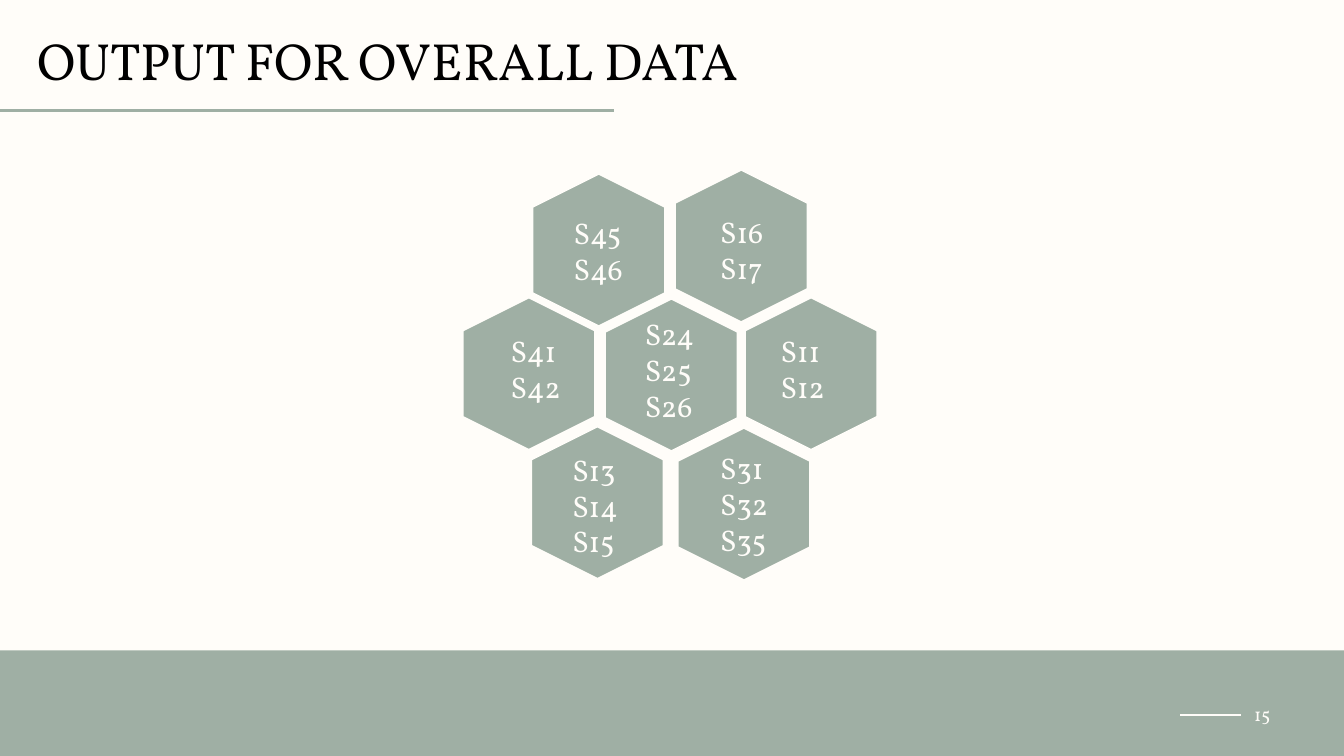
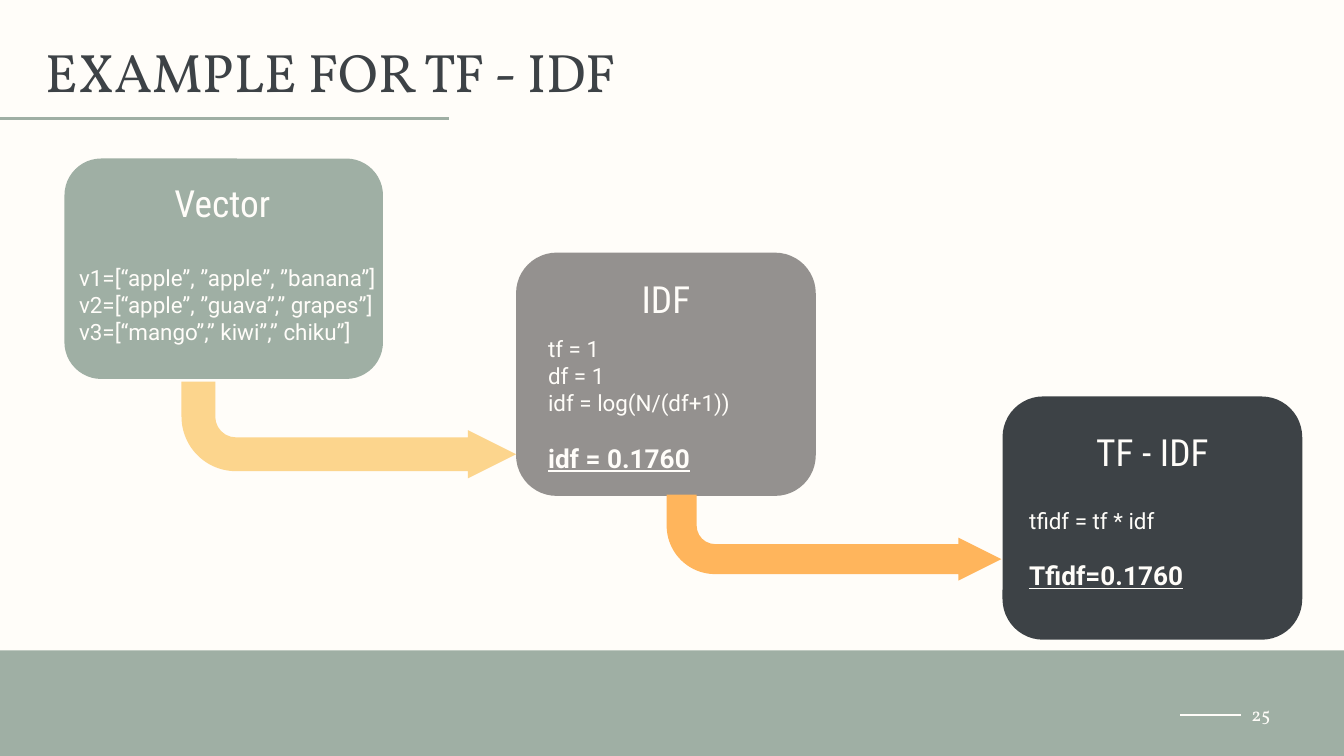
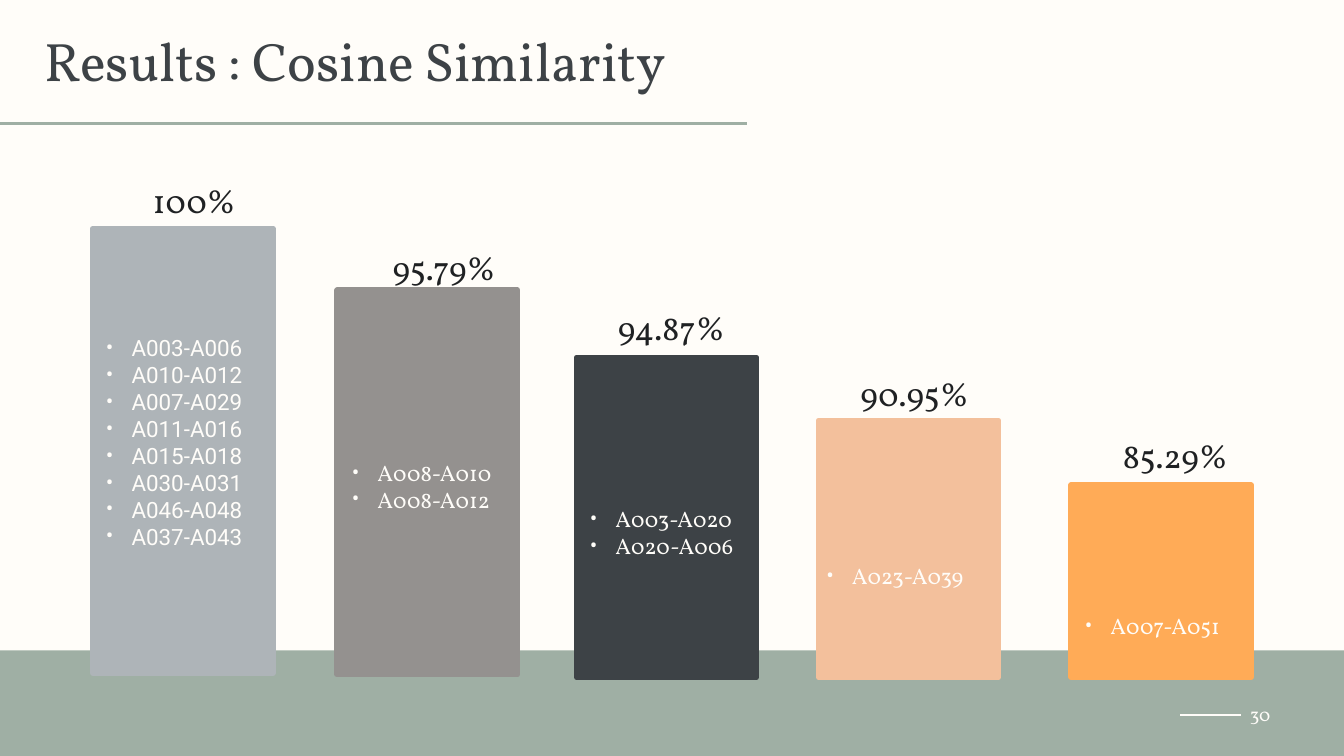
from dataclasses import dataclass

from lxml.etree import SubElement
from pptx import Presentation
from pptx.dml.color import RGBColor
from pptx.enum.shapes import MSO_CONNECTOR, MSO_SHAPE as Shape
from pptx.enum.text import MSO_ANCHOR as Anchor, MSO_AUTO_SIZE as AutoSize, PP_ALIGN as Align
from pptx.oxml.ns import qn
from pptx.util import Inches, Pt


@dataclass(frozen=True)
class Theme:
    paper: str = "FFFDF9"
    sage: str = "9FAFA4"
    taupe: str = "94918F"
    slate: str = "3D4246"
    mist: str = "AEB4B8"
    peach: str = "F3C09C"
    orange: str = "FFAB57"
    yellow: str = "FCD58D"
    amber: str = "FFB55C"
    ink: str = "1F2123"
    black: str = "000000"
    serif: str = "Vollkorn"
    sans: str = "Roboto"
    narrow: str = "Roboto Condensed"
    title: int = 29
    wide_title: int = 28
    heading: int = 20
    percent: int = 18
    label: int = 16
    result: int = 14
    body: int = 12
    page: int = 10


T = Theme()
RESULT = {"size": Pt(T.result), "bold": True, "underline": True}


def rgb(value):
    return RGBColor.from_string(value)


def add_bullet(p):
    pPr = p._p.get_or_add_pPr()
    pPr.set("marL", str(Inches(0.19)))
    pPr.set("indent", str(-Inches(0.19)))
    SubElement(SubElement(pPr, qn("a:buClr")), qn("a:srgbClr")).set("val", T.paper)
    SubElement(pPr, qn("a:buFont")).set("typeface", T.sans)
    SubElement(pPr, qn("a:buChar")).set("char", "•")


def write(tf, lines, font, size, color=T.paper, align=Align.LEFT, anchor=Anchor.MIDDLE,
          pad=0.1, bullet=False, auto_size=AutoSize.NONE):
    """Fill a frame; a line that is a result is set apart in bold underline."""
    frame = {"word_wrap": True, "auto_size": auto_size, "vertical_anchor": anchor,
             "margin_left": Inches(0.1), "margin_right": Inches(0.1),
             "margin_top": Inches(pad), "margin_bottom": Inches(pad)}
    for name, value in frame.items():
        setattr(tf, name, value)
    for i, line in enumerate(lines):
        text, extra = line if isinstance(line, tuple) else (line, {})
        p = tf.add_paragraph() if i else tf.paragraphs[0]
        if bullet:
            add_bullet(p)
        p.alignment = align
        if extra:
            p.space_before = Pt(T.result)
        r = p.add_run()
        r.text = text
        for name, value in {"name": font, "size": Pt(size), **extra}.items():
            setattr(r.font, name, value)
        r.font.color.rgb = rgb(color)


def add_text(slide, box, lines, font, size, **style):
    sp = slide.shapes.add_textbox(*map(Inches, box))
    write(sp.text_frame, lines, font, size, **style)


def add_block(slide, kind, box, fill, line=None, width=0, adjust=()):
    sp = slide.shapes.add_shape(kind, *map(Inches, box))
    sp.shadow.inherit = False
    sp.fill.solid()
    sp.fill.fore_color.rgb = rgb(fill)
    if line:
        sp.line.color.rgb = rgb(line)
        sp.line.width = Pt(width)
    else:
        sp.line.fill.background()
    for i, value in enumerate(adjust):
        sp.adjustments[i] = value
    return sp


def add_rule(slide, left, right, y, color, width):
    cxn = slide.shapes.add_connector(MSO_CONNECTOR.STRAIGHT, Inches(left), Inches(y),
                                     Inches(right), Inches(y))
    cxn.line.color.rgb = rgb(color)
    cxn.line.width = Pt(width)
    SubElement(cxn._element.spPr, qn("a:effectLst"))


def add_footer(slide, page, left=-0.04, top=4.84):
    add_block(slide, Shape.RECTANGLE, (left, top, 10.08, 0.8), T.sage)
    add_text(slide, (left + 8.99, top + 0.29, 0.6, 0.37), [page], T.serif, T.page,
             align=Align.RIGHT, anchor=Anchor.TOP)
    add_rule(slide, left + 8.82, left + 9.27, top + 0.48, T.paper, 0.75)


def new_slide(prs, page, title, box, rule_end, rule_y, size=T.title, color=T.slate):
    slide = prs.slides.add_slide(prs.slide_layouts[5])
    add_footer(slide, page)
    sp = slide.shapes.title
    sp.left, sp.top, sp.width, sp.height = map(Inches, box)
    write(sp.text_frame, [title], T.serif, size, color=color, pad=0.05)
    add_rule(slide, 0, rule_end, rule_y, T.sage, 1.5)
    return slide


def add_honeycomb(slide, left, top, cells):
    """Draw the upright hexagons, then their labels, from the comb's corner."""
    for x, y, *_ in cells:
        sp = add_block(slide, Shape.HEXAGON, (left + x, top + y, 1.15, 1), T.sage,
                       T.paper, 2, (0.25, 1.155))
        sp.rotation = 90
    for x, y, dx, dy, width, names in cells:
        box = (left + x + dx, top + y + dy, width, 0.1 + 0.27 * len(names))
        add_text(slide, box, names, T.serif, T.label, anchor=Anchor.TOP, pad=0.05,
                 auto_size=AutoSize.SHAPE_TO_FIT_TEXT)


def add_card(slide, box, fill, heading, heading_box, lines, lines_box):
    """Draw a rounded card; the text boxes are measured from its corner."""
    left, top = box[:2]
    add_block(slide, Shape.ROUNDED_RECTANGLE, box, fill, adjust=(0.167,))
    x, y, *size = heading_box
    add_text(slide, (left + x, top + y, *size), [heading], T.narrow, T.heading,
             align=Align.CENTER)
    x, y, *size = lines_box
    add_text(slide, (left + x, top + y, *size), lines, T.sans, T.body)


def add_bent_arrow(slide, box, fill):
    sp = add_block(slide, Shape.BENT_ARROW, box, fill, adjust=(0.349, 0.25, 0.5, 0.563))
    sp.rotation = 180
    sp._element.spPr.get_or_add_xfrm().set("flipH", "1")


def add_bar(slide, box, fill, percent, percent_at, pairs, pairs_at, kind=Shape.RECTANGLE,
            font=T.serif, align=Align.JUSTIFY):
    """Draw a bar; percent_at and pairs_at are x, y, height from its corner."""
    left, top = box[:2]
    add_block(slide, kind, box, fill, fill, 3)
    x, y, height = percent_at
    add_text(slide, (left + x, top + y, 1.51, height), [percent], T.serif, T.percent,
             color=T.ink, align=Align.CENTER)
    x, y, height = pairs_at
    add_text(slide, (left + x, top + y, 1.51, height), pairs, font, T.body,
             align=align, bullet=True)


def build_clusters(prs):
    slide = new_slide(prs, "15", "OUTPUT FOR OVERALL DATA", (0.18, 0.16, 6.19, 0.57),
                      4.57, 0.82, size=T.wide_title, color=T.black)
    add_honeycomb(slide, 3.36, 1.33, [
        (1.6, 1.92, 0.3, 0.05, 1.72, ["S31", "S32", "S35"]),
        (0.51, 1.91, 0.29, 0.07, 0.64, ["S13", "S14", "S15"]),
        (0, 0.95, 0.34, 0.15, 0.68, ["S41", "S42"]),
        (2.1, 0.95, 0.25, 0.15, 1.72, ["S11", "S12"]),
        (1.06, 0.96, 0.28, 0.01, 0.67, ["S24", "S25", "S26"]),
        (0.52, 0.03, 0.29, 0.19, 0.72, ["S45", "S46"]),
        (1.58, 0, 0.32, 0.21, 1.72, ["S16", "S17"]),
    ])


def build_tfidf(prs):
    slide = new_slide(prs, "25", "EXAMPLE FOR TF - IDF", (0.24, 0.21, 8.43, 0.63), 3.34, 0.88)
    add_card(slide, (0.48, 1.18, 2.37, 1.64), T.sage, "Vector", (0.14, 0.23, 2.07, 0.19),
             ["v1=[“apple”, ”apple”, ”banana”]",
              "v2=[“apple”, ”guava”,” grapes”]",
              "v3=[“mango”,” kiwi”,” chiku”]"], (0.01, 0.77, 2.51, 0.63))
    add_card(slide, (3.84, 1.88, 2.23, 1.81), T.taupe, "IDF", (0.37, 0.12, 1.49, 0.44),
             ["tf = 1", "df = 1", "idf = log(N/(df+1))", ("idf = 0.1760", RESULT)],
             (0.14, 0.58, 2.07, 1.1))
    add_card(slide, (7.46, 2.95, 2.23, 1.81), T.slate, "TF - IDF", (0.08, 0.31, 2.07, 0.2),
             ["tfidf = tf * idf", ("Tfidf=0.1760", RESULT)], (0.1, 0.8, 2.07, 0.67))
    add_bent_arrow(slide, (1.35, 2.84, 2.49, 0.72), T.yellow)
    add_bent_arrow(slide, (4.96, 3.68, 2.49, 0.64), T.amber)


def build_similarity(prs):
    slide = new_slide(prs, "30", "Results : Cosine Similarity", (0.23, 0.13, 8.43, 0.63),
                      5.56, 0.92)
    add_bar(slide, (0.69, 1.7, 1.34, 3.31), T.mist, "100%", (0, -0.31, 0.19),
            ["A003-A006", "A010-A012", "A007-A029", "A011-A016",
             "A015-A018", "A030-A031", "A046-A048", "A037-A043"], (0, 0.07, 3.04),
            font=T.sans)
    add_bar(slide, (2.51, 2.16, 1.34, 2.86), T.taupe, "95.79%", (0.04, -0.27, 0.19),
            ["A008-A010", "A008-A012"], (0.01, 0.5, 1.91))
    add_bar(slide, (4.29, 2.66, 1.34, 2.38), T.slate, "94.87%", (-0.05, -0.38, 0.31),
            ["A003-A020", "A020-A006"], (0, 0.9, 0.8))
    add_bar(slide, (6.09, 3.13, 1.34, 1.91), T.peach, "90.95%", (-0.04, -0.36, 0.31),
            ["A023-A039"], (-0.04, 0.93, 0.45))
    add_bar(slide, (7.97, 3.61, 1.34, 1.43), T.orange, "85.29%", (0.02, -0.32, 0.19),
            ["A007-A051"], (-0.15, 0.82, 0.45), kind=Shape.FLOWCHART_PROCESS,
            align=Align.CENTER)


def main():
    prs = Presentation()
    prs.slide_width = Inches(10)
    prs.slide_height = prs.slide_width * 9 // 16
    fill = prs.slide_master.background.fill
    fill.solid()
    fill.fore_color.rgb = rgb(T.paper)
    for build in (build_clusters, build_tfidf, build_similarity):
        build(prs)
    prs.save("out.pptx")


if __name__ == "__main__":
    main()
